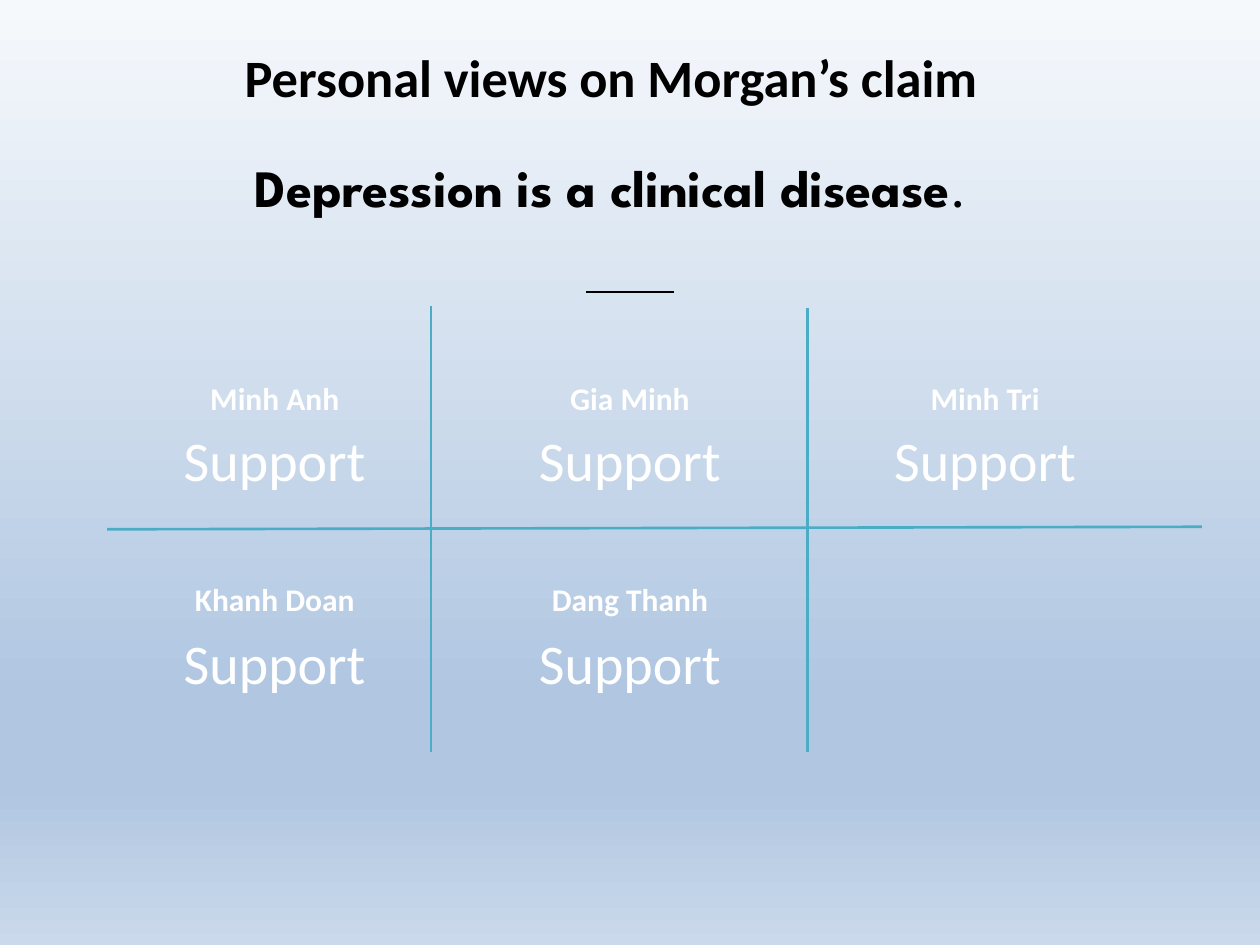
from lxml import etree
from pptx import Presentation
from pptx.dml.color import RGBColor
from pptx.enum.shapes import MSO_CONNECTOR
from pptx.enum.text import MSO_ANCHOR, PP_ALIGN
from pptx.oxml.ns import qn
from pptx.util import Cm, Pt

STRAIGHT = MSO_CONNECTOR.STRAIGHT
TOP, MIDDLE = MSO_ANCHOR.TOP, MSO_ANCHOR.MIDDLE
CENTER = PP_ALIGN.CENTER

BLACK, WHITE, TEAL = "000000", "FFFFFF", "4BACC6"
BACKGROUND = [(0, "F6F9FC"), (74, "B0C6E1"), (83, "B0C6E1"), (100, "CAD9EB")]

HEADING = "Personal views on Morgan’s claim"
CLAIM = "Depression is a clinical disease"
VIEWS = [
    [("Minh Anh", "Support"), ("Gia Minh", "Support"), ("Minh Tri", "Support")],
    [("Khanh Doan", "Support"), ("Dang Thanh", "Support")],
]
ROW_TOPS = [(7.47, 8.33), (11.51, 12.42)]
FIRST_CENTER, PITCH, CELL_W = 5.54, 7.16, 5.2
NAME_H, VIEW_H = 1.12, 1.47

LINES = [
    (16.28, 6.2, 16.28, 15.16, TEAL),
    (8.69, 6.17, 8.69, 15.16, TEAL),
    (2.16, 10.67, 24.23, 10.62, TEAL),
    (11.81, 5.89, 13.59, 5.89, BLACK),
]

HEADING_FONT = {"name": "Calibri", "size": Pt(30), "bold": True}
CLAIM_FONT = {"name": "League Spartan", "size": Pt(30), "bold": True}
STOP_FONT = {**CLAIM_FONT, "bold": False}
NAME_FONT = {"name": "Calibri", "size": Pt(18), "bold": True}
VIEW_FONT = {"name": "Calibri", "size": Pt(32), "bold": False}


def rgb(color):
    return RGBColor.from_string(color)


def add_text(s, box, runs, color, anchor=TOP):
    sp = s.shapes.add_textbox(*map(Cm, box))
    tf = sp.text_frame
    tf.word_wrap = True
    tf.vertical_anchor = anchor
    for side in ("left", "top", "right", "bottom"):
        setattr(tf, f"margin_{side}", Cm(0.25))
    p = tf.paragraphs[0]
    p.alignment = CENTER
    for text, font in runs:
        r = p.add_run()
        r.text = text
        for key, value in font.items():
            setattr(r.font, key, value)
        r.font.color.rgb = rgb(color)


def add_line(s, x1, y1, x2, y2, color):
    line = s.shapes.add_connector(STRAIGHT, Cm(x1), Cm(y1), Cm(x2), Cm(y2))
    line.line.color.rgb = rgb(color)
    line.line.width = Pt(1.5)
    etree.SubElement(line.element.spPr, qn("a:effectLst"))


def set_background(s):
    fill = s.background.fill
    fill.gradient()
    fill.gradient_angle = 270
    stops = next(s.element.iter(qn("a:gsLst")))
    for stop in list(stops):
        stops.remove(stop)
    for pos, color in BACKGROUND:
        stop = etree.SubElement(stops, qn("a:gs"), pos=str(pos * 1000))
        etree.SubElement(stop, qn("a:srgbClr"), val=color)


def main():
    prs = Presentation()
    prs.slide_width, prs.slide_height = Cm(25.4), Cm(19.05)
    s = prs.slides.add_slide(prs.slide_layouts[6])
    set_background(s)

    for row, (name_top, view_top) in zip(VIEWS, ROW_TOPS):
        for col, (name, view) in enumerate(row):
            left = FIRST_CENTER + col * PITCH - CELL_W / 2
            add_text(s, (left, name_top, CELL_W, NAME_H), [(name, NAME_FONT)], WHITE, MIDDLE)
            add_text(s, (left, view_top, CELL_W, VIEW_H), [(view, VIEW_FONT)], WHITE)

    add_text(s, (2.9, 0.66, 18.85, 1.47), [(HEADING, HEADING_FONT)], BLACK)
    for line in LINES:
        add_line(s, *line)
    add_text(s, (-0.84, 2.87, 26.31, 1.8), [(CLAIM, CLAIM_FONT), (".", STOP_FONT)], BLACK)

    prs.save("out.pptx")


if __name__ == "__main__":
    main()
